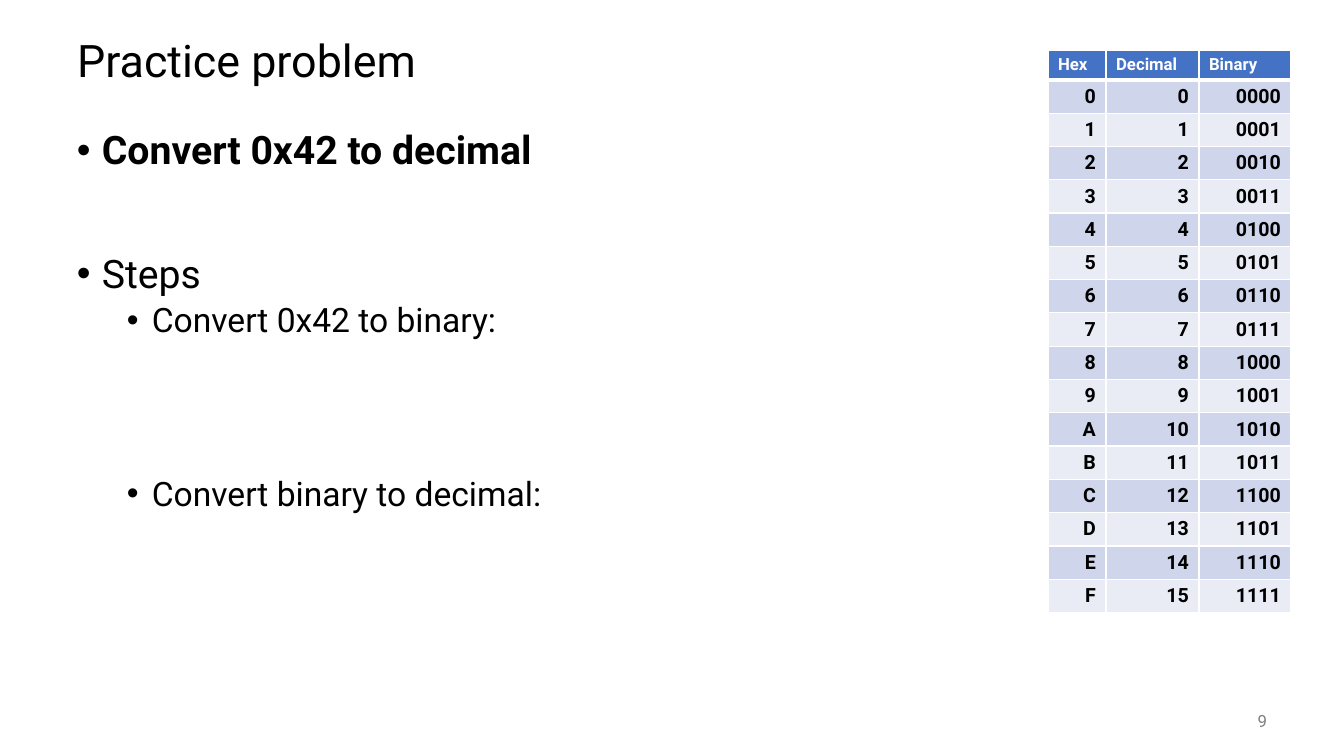
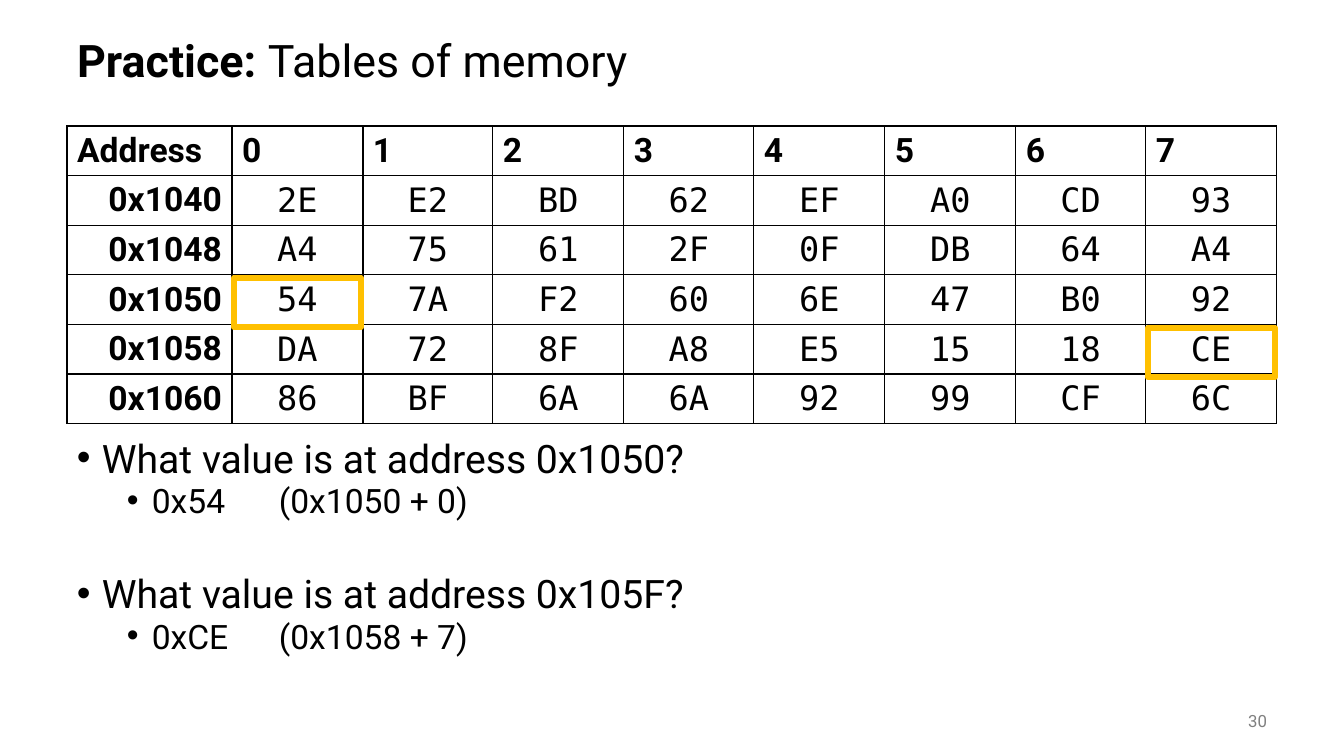
from dataclasses import dataclass
from typing import Optional

from lxml.etree import SubElement
from pptx import Presentation
from pptx.dml.color import RGBColor as RGB
from pptx.enum.shapes import MSO_SHAPE as Shape
from pptx.enum.text import MSO_ANCHOR as Anchor, MSO_AUTO_SIZE as Fit, PP_ALIGN as Align
from pptx.oxml import parse_xml
from pptx.oxml.ns import nsdecls, qn
from pptx.util import Emu, Pt

# Shared look
BLACK, WHITE = RGB(0, 0, 0), RGB(255, 255, 255)
GREY, GOLD, BLUE = RGB(0x80, 0x80, 0x80), RGB(0xFF, 0xC0, 0x00), RGB(0x44, 0x72, 0xC4)
BANDS = (RGB(0xE9, 0xEB, 0xF5), RGB(0xCF, 0xD5, 0xEA))
SANS, MONO = "Roboto", "DejaVu Sans Mono"
LEFT, WIDE, TOP = 67, 1210, 126  # content area, px
STEP = 25  # bullet indent, px


def px(n: int) -> Emu:
    return Emu(round(n * 914400 / 100.8))


@dataclass(frozen=True)
class Box:
    x: int
    y: int
    w: int
    h: int

    def emu(self) -> tuple:
        return tuple(px(n) for n in (self.x, self.y, self.w, self.h))


@dataclass(frozen=True)
class Run:
    text: str
    size: int
    bold: bool = False
    color: RGB = BLACK
    font: str = SANS


@dataclass(frozen=True)
class Item:
    run: Run
    level: int = 0
    gap: int = 0  # points before


@dataclass(frozen=True)
class Cell:
    run: Run
    align: Align = Align.LEFT
    fill: Optional[RGB] = None


@dataclass(frozen=True)
class Grid:
    x: int
    y: int
    cols: list
    rows: list
    line: RGB
    anchor: Anchor = Anchor.TOP
    rule: int = 1  # points under the header


def add_run(para, run: Run) -> None:
    part = para.add_run()
    part.text = run.text
    font = part.font
    font.name, font.size, font.bold = run.font, Pt(run.size), run.bold
    font.color.rgb = run.color


def set_frame(shape, anchor: Anchor):
    frame = shape.text_frame
    frame.word_wrap, frame.auto_size = True, Fit.NONE
    frame.vertical_anchor = anchor
    return frame


def add_slide(deck, title: list, num: str):
    slide = deck.slides.add_slide(deck.slide_layouts[5])
    # Title
    head = slide.shapes.title
    head.left, head.top, head.width, head.height = Box(LEFT, 25, WIDE, 76).emu()
    para = set_frame(head, Anchor.MIDDLE).paragraphs[0]
    para.alignment, para.line_spacing = Align.LEFT, 0.9
    for run in title:
        add_run(para, run)
    # Page number
    foot = slide.shapes.add_textbox(*Box(1176, 701, 101, 40).emu())
    para = set_frame(foot, Anchor.MIDDLE).paragraphs[0]
    para.alignment = Align.RIGHT
    add_run(para, Run(num, 12, color=GREY))
    return slide


def add_list(slide, box: Box, items: list, space: float) -> None:
    frame = set_frame(slide.shapes.add_textbox(*box.emu()), Anchor.TOP)
    for i, item in enumerate(items):
        para = frame.add_paragraph() if i else frame.paragraphs[0]
        para.level = item.level
        para.line_spacing, para.space_before = space, Pt(item.gap)
        props = para._p.get_or_add_pPr()
        props.set("marL", str(px(STEP * (1 + 2 * item.level))))
        props.set("indent", str(px(-STEP)))
        SubElement(props, qn("a:buFont"), typeface="Arial")
        SubElement(props, qn("a:buChar"), char="•")
        if "\t" in item.run.text:
            tabs = SubElement(props, qn("a:tabLst"))
            SubElement(tabs, qn("a:tab"), pos=str(px(202)), algn="l")
        add_run(para, item.run)


def add_edges(cell, color: RGB, top: int, base: int) -> None:
    props = cell._tc.get_or_add_tcPr()
    for i, (side, width) in enumerate(zip("LRTB", (1, 1, top, base))):
        props.insert(i, parse_xml(
            f'<a:ln{side} {nsdecls("a")} w="{Pt(width)}"><a:solidFill>'
            f'<a:srgbClr val="{color}"/></a:solidFill></a:ln{side}>'))


def add_grid(slide, grid: Grid, cells: list) -> None:
    box = Box(grid.x, grid.y, sum(grid.cols), sum(grid.rows))
    table = slide.shapes.add_table(len(cells), len(grid.cols), *box.emu()).table
    table.first_row = table.horz_banding = False
    for col, width in zip(table.columns, grid.cols):
        col.width = px(width)
    for r, line in enumerate(cells):
        table.rows[r].height = px(grid.rows[r])
        for c, item in enumerate(line):
            cell = table.cell(r, c)
            cell.vertical_anchor = grid.anchor
            if item.fill is None:
                cell.fill.background()
            else:
                cell.fill.solid()
                cell.fill.fore_color.rgb = item.fill
            add_edges(cell, grid.line, grid.rule if r == 1 else 1, grid.rule if r == 0 else 1)
            para = cell.text_frame.paragraphs[0]
            para.alignment = item.align
            add_run(para, item.run)


def add_frame(slide, box: Box) -> None:
    shape = slide.shapes.add_shape(Shape.RECTANGLE, *box.emu())
    shape.shadow.inherit = False
    shape.fill.background()
    shape.line.color.rgb, shape.line.width = GOLD, Pt(4.5)


def convert(deck) -> None:
    slide = add_slide(deck, [Run("Practice problem", 32)], "9")
    add_list(slide, Box(LEFT, TOP, WIDE, 554), [
        Item(Run("Convert 0x42 to decimal", 28, True)),
        Item(Run("Steps", 28), gap=58),
        Item(Run("Convert 0x42 to binary:", 24), 1, 5),
        Item(Run("Convert binary to decimal:", 24), 1, 98),
    ], 0.9)
    # Hex, decimal and binary digits
    cells = [[Cell(Run(name, 12, True, WHITE), fill=BLUE) for name in ("Hex", "Decimal", "Binary")]]
    for n in range(16):
        cells.append([Cell(Run(text, 14, True), Align.RIGHT, BANDS[(n + 1) % 2])
                      for text in (f"{n:X}", str(n), f"{n:04b}")])
    add_grid(slide, Grid(1048, 50, [58, 93, 92], [29] + [33] * 16, WHITE, rule=3), cells)


MEMORY = {
    "0x1040": "2E E2 BD 62 EF A0 CD 93",
    "0x1048": "A4 75 61 2F 0F DB 64 A4",
    "0x1050": "54 7A F2 60 6E 47 B0 92",
    "0x1058": "DA 72 8F A8 E5 15 18 CE",
    "0x1060": "86 BF 6A 6A 92 99 CF 6C",
}


def memory(deck) -> None:
    slide = add_slide(deck, [Run("Practice: ", 32, True), Run("Tables of memory", 32)], "30")
    add_list(slide, Box(LEFT, 438, WIDE, 242), [
        Item(Run("What value is at address 0x1050?", 28)),
        Item(Run("0x54\t(0x1050 + 0)", 24), 1, 5),
        Item(Run("What value is at address 0x105F?", 28), gap=42),
        Item(Run("0xCE\t(0x1058 + 7)", 24), 1, 5),
    ], 0.8)
    # Memory bytes
    first, high = 165, 50
    edges = [first + round(n * (WIDE - first) / 8) for n in range(9)]
    cols = [first] + [b - a for a, b in zip(edges, edges[1:])]
    cells = [[Cell(Run(text, 24, True)) for text in ("Address", *"01234567")]]
    for name, data in MEMORY.items():
        cells.append([Cell(Run(name, 24, True), Align.RIGHT)]
                     + [Cell(Run(byte, 24, font=MONO), Align.CENTER) for byte in data.split()])
    add_grid(slide, Grid(LEFT, TOP, cols, [49] * len(cells), BLACK, Anchor.BOTTOM), cells)
    # Answers, framed by row and column
    for row, col in ((3, 0), (4, 7)):
        add_frame(slide, Box(LEFT + edges[col] + 2, TOP + row * high + 2, 127, 49))


def main() -> None:
    deck = Presentation()
    deck.slide_width, deck.slide_height = px(1344), px(756)
    convert(deck)
    memory(deck)
    deck.save("out.pptx")


if __name__ == "__main__":
    main()
